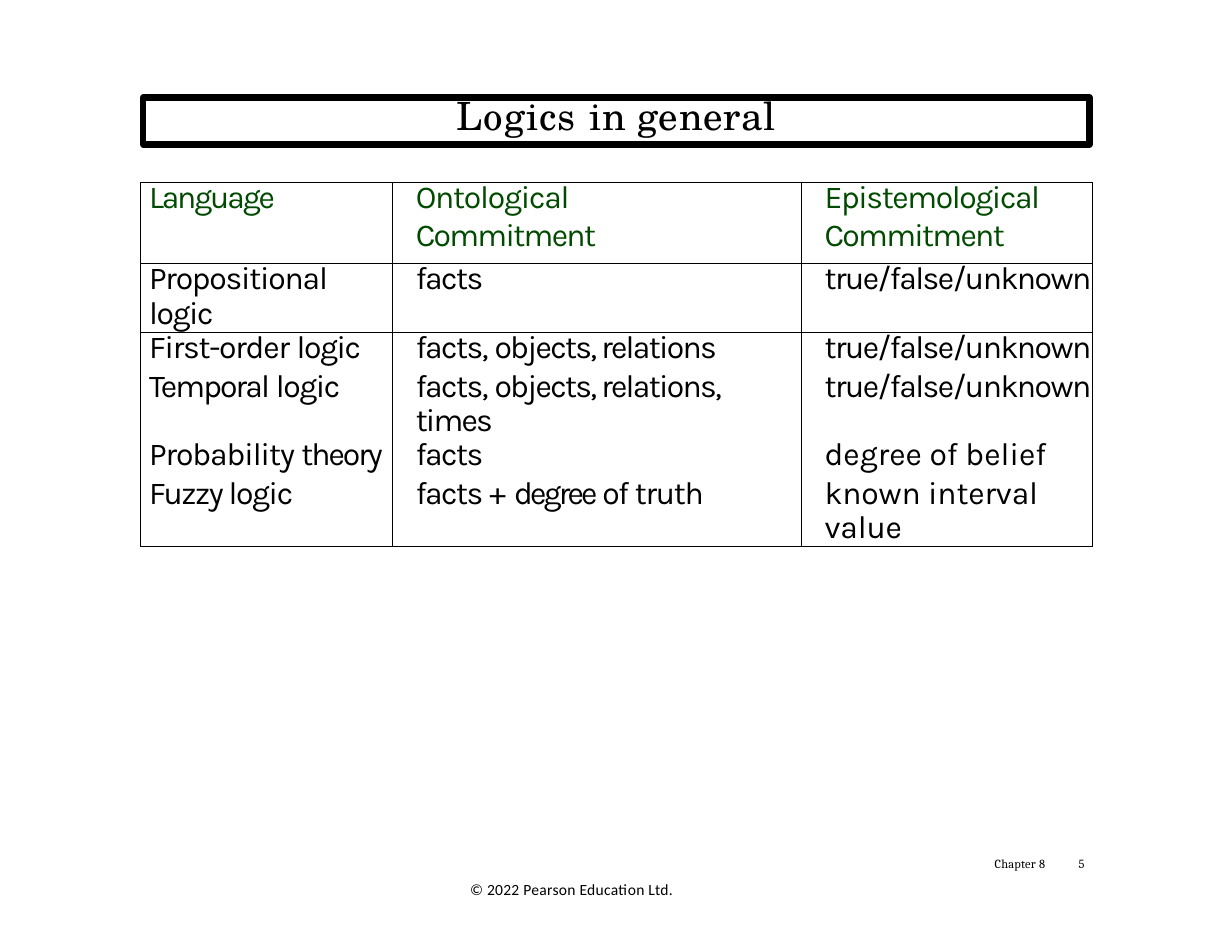
from lxml.etree import SubElement
from pptx import Presentation
from pptx.dml.color import RGBColor
from pptx.enum.shapes import MSO_SHAPE
from pptx.enum.text import MSO_ANCHOR, MSO_AUTO_SIZE, PP_ALIGN
from pptx.oxml.ns import qn
from pptx.util import Cm, Pt

BLACK = RGBColor(0x00, 0x00, 0x00)
GREEN = RGBColor(0x00, 0x4B, 0x00)
WHITE = RGBColor(0xFF, 0xFF, 0xFF)

# Each cell is a list of paragraphs, each paragraph a list of (text, letter spacing)
UNKNOWN = [[("true/false/unknown", -1)]]
LOGICS = [
    [[[("Language", -1.4)]],
     [[("Ontological", -0.8)], [("Commitment", -1.1)]],
     [[("Epistemological", -0.9)], [("Commitment", -1.1)]]],
    [[[("Propositional ", -0.8), ("logic", -0.9)]], [[("facts", -1)]], UNKNOWN],
    [[[("First-order ", -0.8), ("logic", -0.9)]],
     [[("facts, ", -1), ("objects, relations", -1.1)]],
     UNKNOWN],
    [[[("Temporal ", -1.2), ("logic", -0.9)]],
     [[("facts, ", -1), ("objects, relations, ", -1.1), ("times", -1.2)]],
     UNKNOWN],
    [[[("Probability ", -0.7), ("theory", -1.3)]],
     [[("facts", -1)]],
     [[("degree of belief", 0)]]],
    [[[("Fuzzy logic", -0.9)]],
     [[("facts ", -1), ("+ ", 0.1), ("degree ", -1.8), ("of ", -1.1), ("truth", -0.8)]],
     [[("known interval value", -0.1)]]],
]
COLUMN_WIDTHS = [5.72, 9.27, 6.6]
COLUMN_INDENTS = [0.2, 0.53, 0.53]
ROW_HEIGHTS = [1.83, 0.89, 0.89, 0.89, 0.89, 0.94]
LINE_PITCHES = [22.1, 22.1, 21.9, 21.8, 21.9, 21.8]
RULED_BELOW = {0, 1, 5}


class LogicSlide:
    def __init__(self, slide):
        self.slide = slide
        self.text_font = "Karla"
        self.text_size = 20.5
        self.rule_width = Pt(0.5)

    def fill_text(self, paragraph, runs, font, size, color=BLACK, pitch=None, indent=0):
        if indent:
            paragraph._p.get_or_add_pPr().set("marL", str(Cm(indent)))
        if pitch:
            paragraph.line_spacing = Pt(pitch)
        paragraph.font.name = font
        paragraph.font.size = Pt(size)
        paragraph.font.color.rgb = color
        for text, spacing in runs:
            run = paragraph.add_run()
            run.text = text
            run._r.get_or_add_rPr().set("spc", str(round(spacing * 100)))

    def frame(self, shape, inset=True):
        frame = shape.text_frame
        frame.word_wrap = True
        frame.auto_size = MSO_AUTO_SIZE.SHAPE_TO_FIT_TEXT
        frame.vertical_anchor = MSO_ANCHOR.TOP
        if not inset:
            frame.margin_left = frame.margin_right = 0
            frame.margin_top = frame.margin_bottom = 0
        return frame.paragraphs[0]

    def label(self, box, runs, font, size, inset=False, **style):
        shape = self.slide.shapes.add_textbox(*map(Cm, box))
        self.fill_text(self.frame(shape, inset), runs, font, size, **style)

    def title(self, box, runs):
        bar = self.slide.shapes.add_shape(MSO_SHAPE.RECTANGLE, *map(Cm, box))
        bar.shadow.inherit = False
        bar.fill.background()
        bar.line.color.rgb = BLACK
        bar.line.width = Pt(4.08)
        heading = self.frame(bar, inset=False)
        heading.alignment = PP_ALIGN.CENTER
        self.fill_text(heading, runs, "TeX Gyre Schola", 25, pitch=26.4)

    def borders(self, cell, ruled):
        properties = cell._tc.get_or_add_tcPr()
        for side in "LRTB":
            line = SubElement(properties, qn(f"a:ln{side}"), w=str(self.rule_width))
            if side in ruled:
                fill = SubElement(line, qn("a:solidFill"))
                SubElement(fill, qn("a:srgbClr"), val=str(BLACK))
            else:
                SubElement(line, qn("a:noFill"))

    def cell(self, cell, paragraphs, color, pitch, indent, ruled):
        cell.margin_left = cell.margin_right = 0
        cell.margin_top = cell.margin_bottom = 0
        self.borders(cell, ruled)
        cell.fill.background()
        for index, runs in enumerate(paragraphs):
            frame = cell.text_frame
            paragraph = frame.add_paragraph() if index else frame.paragraphs[0]
            if index:
                paragraph.space_before = Pt(0.2)
            self.fill_text(paragraph, runs, self.text_font, self.text_size, color,
                           None if index else pitch, indent)

    def table(self, left, top, rows):
        table = self.slide.shapes.add_table(
            len(rows), len(COLUMN_WIDTHS), Cm(left), Cm(top),
            Cm(sum(COLUMN_WIDTHS)), Cm(sum(ROW_HEIGHTS))).table
        table.first_row = table.horz_banding = False
        for column, width in zip(table.columns, COLUMN_WIDTHS):
            column.width = Cm(width)
        for r, cells in enumerate(rows):
            table.rows[r].height = Cm(ROW_HEIGHTS[r])
            ruled = "LR"
            if r == 0 or r - 1 in RULED_BELOW:
                ruled += "T"
            if r in RULED_BELOW:
                ruled += "B"
            for c, paragraphs in enumerate(cells):
                self.cell(table.cell(r, c), paragraphs, BLACK if r else GREEN,
                          LINE_PITCHES[r], COLUMN_INDENTS[c], ruled)


def main():
    deck = Presentation()
    deck.slide_width, deck.slide_height = Cm(27.94), Cm(21.59)
    slide = deck.slides.add_slide(deck.slide_layouts[6])
    slide.background.fill.solid()
    slide.background.fill.fore_color.rgb = WHITE
    page = LogicSlide(slide)

    # Chapter and page number
    page.label((22.53, 19.46, 1.37, 0.36), [("Chapter", 0.1), (" 8", 0.2)],
               "Cambria", 8, pitch=8.6, indent=0.03)
    page.label((24.36, 19.46, 0.53, 0.36), [("5", 0.2)],
               "Cambria", 8, pitch=8.6, indent=0.1)

    # Title bar
    page.title((3.25, 2.21, 21.46, 1.07),
               [("Logics ", 0.8), ("in ", 0.3), ("general", 0.5)])

    # Comparison of logics
    page.table(3.18, 4.14, LOGICS)

    # Copyright line
    page.label((10.41, 19.84, 9.53, 1.12), [("© 2022 Pearson Education Ltd.", 0.2)],
               "Calibri", 10, inset=True)

    deck.save("out.pptx")


if __name__ == "__main__":
    main()
